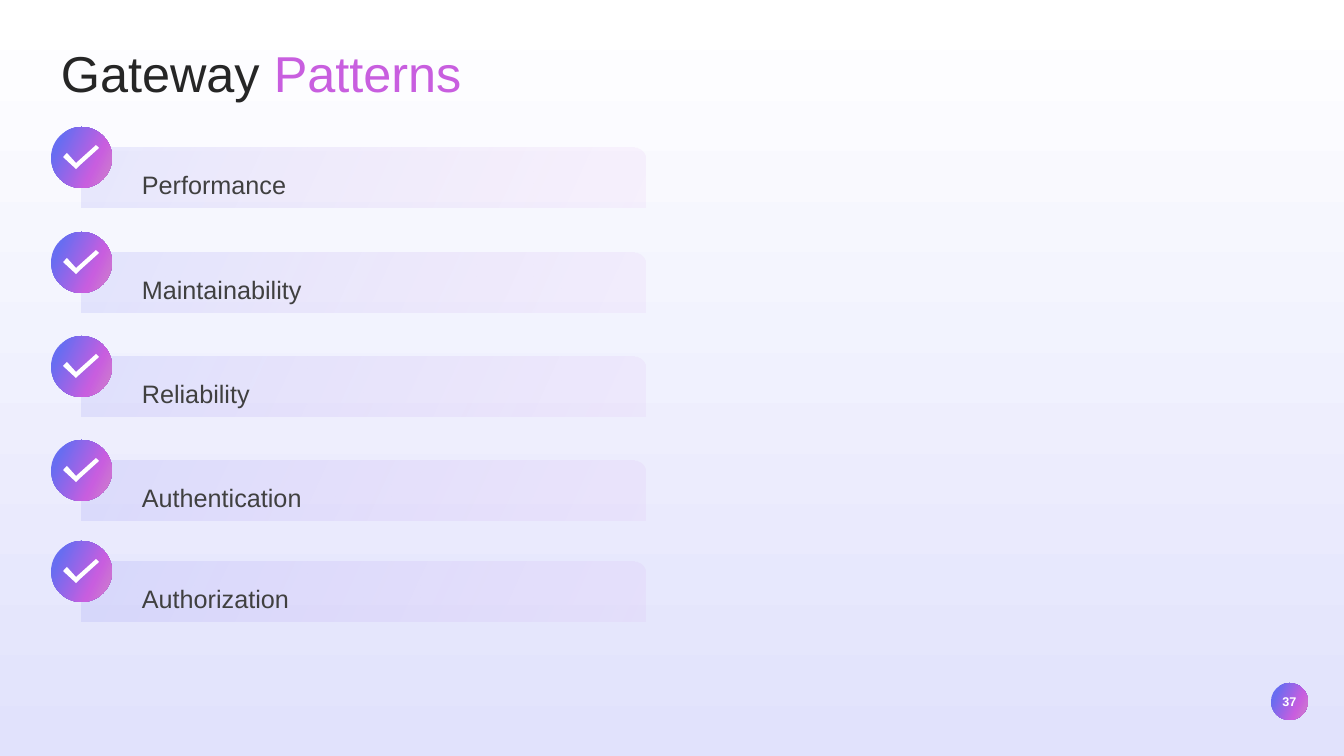
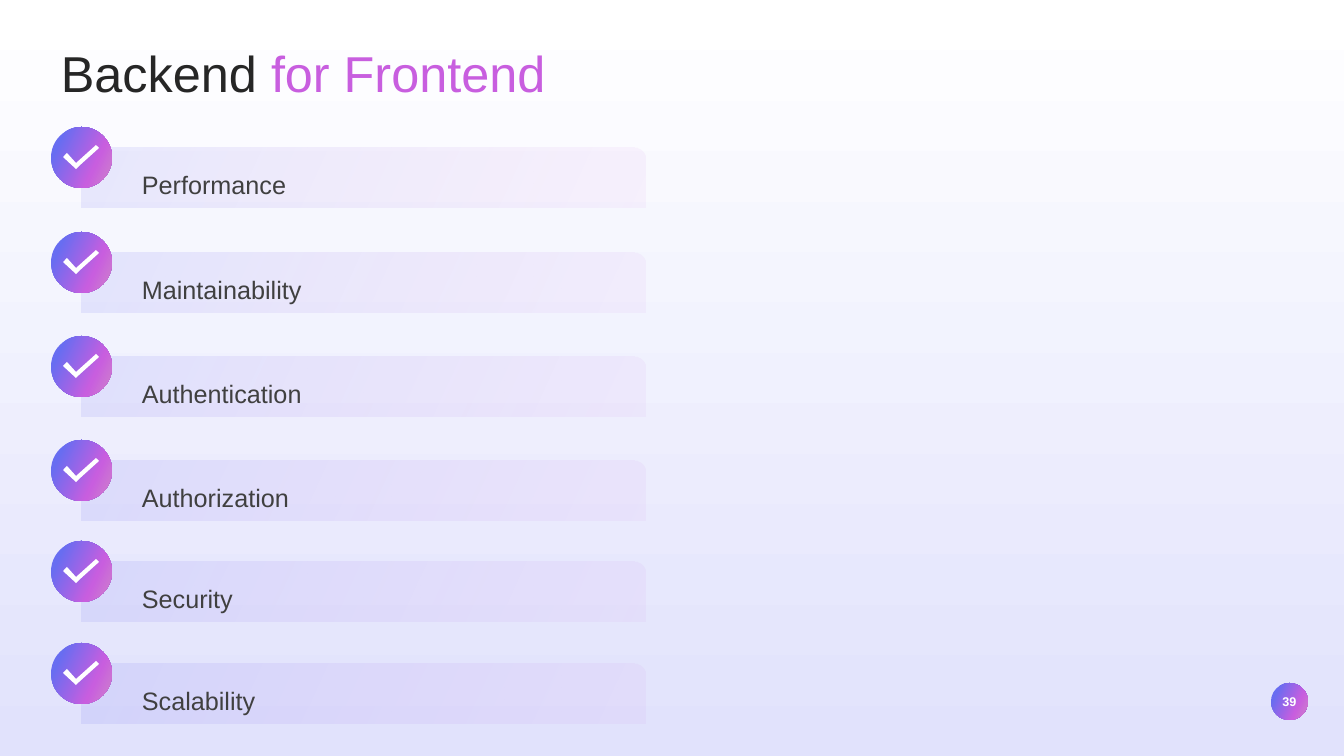
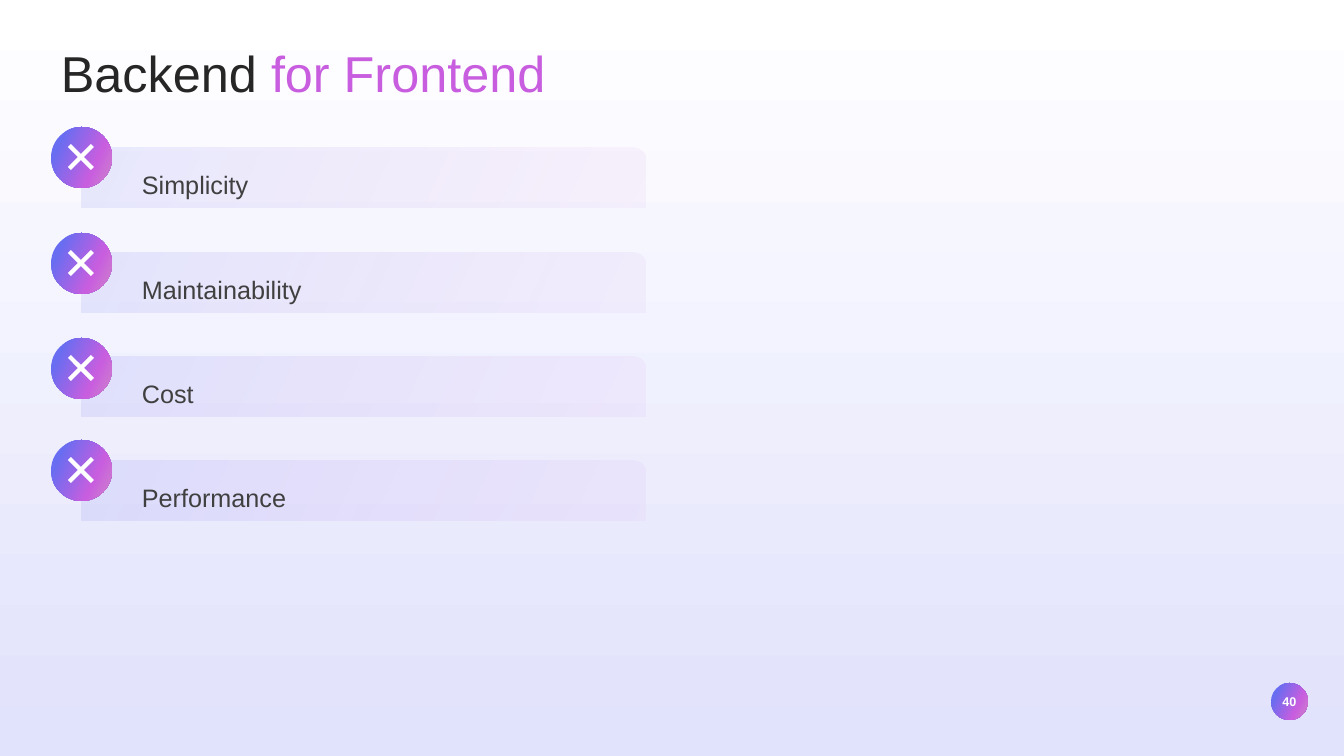
from dataclasses import dataclass

from lxml import etree
from pptx import Presentation
from pptx.dml.color import RGBColor
from pptx.enum.shapes import MSO_SHAPE
from pptx.enum.text import MSO_ANCHOR, PP_ALIGN
from pptx.oxml.ns import qn
from pptx.util import Emu, Pt

PX = 914400 / 100.8
OVAL = MSO_SHAPE.OVAL
TOP_ROUNDED = MSO_SHAPE.ROUND_2_SAME_RECTANGLE
MIDDLE = MSO_ANCHOR.MIDDLE
CENTER = PP_ALIGN.CENTER


@dataclass(frozen=True)
class Theme:
    """Colours, gradients and type sizes shared by all slides."""
    font: str = "Arial"
    title_size: int = 36
    item_size: int = 18
    number_size: int = 9
    title_color: str = "262626"
    item_color: str = "404040"
    white: str = "FFFFFF"
    backdrop: tuple = ((0, "FFFFFF", 100), (100, "E1E2FC", 100))
    badge: tuple = ((17, "686DF1", 100), (69, "C85EDF", 100), (100, "CE84CA", 100))
    accent: tuple = ((17, "1921EA", 100), (69, "C85EDF", 100), (100, "CE84CA", 100))
    bar: tuple = ((0, "686DF1", 13), (100, "C85EDF", 6))
    slant: int = 25
    down: int = 90


THEME = Theme()
PAGE_SIZE = (1344, 756)
TITLE_BOX = (51, 37, 661, 72)
NUMBER_BOX = (1271, 683, 37, 37)
ROW_LEFT, ROW_WIDTH, ROW_HEIGHT = 82, 563, 60
ROW_TOPS = (148, 253, 357, 461, 562, 664)
BADGE_SIZE = 61
CHECK = ((45, 18), (25, 36), (16, 26), (12, 30), (25, 42), (28, 39), (48, 21))
CROSS = ((43, 20), (40, 17), (30, 27), (20, 17), (17, 20), (27, 30),
         (17, 40), (20, 43), (30, 33), (40, 43), (43, 40), (33, 30))

SLIDES = (
    ("37", "Gateway ", "Patterns", CHECK, (0, 0, 0, 0, 0),
     ("Performance", "Maintainability", "Reliability", "Authentication", "Authorization")),
    ("39", "Backend ", "for Frontend", CHECK, (0, 0, 0, 0, 0, 0),
     ("Performance", "Maintainability", "Authentication", "Authorization", "Security",
      "Scalability")),
    ("40", "Backend ", "for Frontend", CROSS, (0, 1, 2, 0),
     ("Simplicity", "Maintainability", "Cost", "Performance")),
)


def emu(*lengths):
    """Turn px lengths into EMU."""
    return [Emu(round(length * PX)) for length in lengths]


def paint(fill, element, stops, angle):
    """Give a fill a linear gradient of (position, colour, opacity) stops."""
    fill.gradient()
    fill.gradient_angle = 360 - angle
    stop_list = element.find(".//" + qn("a:gsLst"))
    for old_stop in list(stop_list):
        stop_list.remove(old_stop)
    for position, color, opacity in stops:
        stop = etree.SubElement(stop_list, qn("a:gs"), pos=str(position * 1000))
        tint = etree.SubElement(stop, qn("a:srgbClr"), val=color)
        if opacity < 100:
            etree.SubElement(tint, qn("a:alpha"), val=str(opacity * 1000))


def add_gradient_shape(shapes, kind, box, stops):
    """Add a borderless preset shape with a slanted gradient."""
    shape = shapes.add_shape(kind, *emu(*box))
    shape.shadow.inherit = False
    shape.line.fill.background()
    paint(shape.fill, shape._element.spPr, stops, THEME.slant)
    return shape


def style(para, size, color, bold=False):
    """Set the font of a whole paragraph."""
    para.font.name = THEME.font
    para.font.size = Pt(size)
    para.font.bold = bold
    para.font.color.rgb = RGBColor.from_string(color)


def add_text(page, box, size, color):
    """Add a wrapping text box and return its styled paragraph."""
    frame = page.shapes.add_textbox(*emu(*box)).text_frame
    frame.word_wrap = True
    para = frame.paragraphs[0]
    style(para, size, color)
    return para


def add_title(page, box, lead, accent):
    """Add a title with a gradient-coloured ending."""
    para = add_text(page, box, THEME.title_size, THEME.title_color)
    para.add_run().text = lead
    span = para.add_run()
    span.text = accent
    paint(span.font.fill, span._r, THEME.accent, THEME.slant)


def add_page_number(page, box, number):
    """Add the round page number."""
    frame = add_gradient_shape(page.shapes, OVAL, box, THEME.badge).text_frame
    frame.margin_left = frame.margin_right = frame.margin_top = frame.margin_bottom = 0
    frame.word_wrap = False
    frame.vertical_anchor = MIDDLE
    para = frame.paragraphs[0]
    para.alignment = CENTER
    style(para, THEME.number_size, THEME.white, bold=True)
    para.add_run().text = number


def add_badge(page, left, top, outline):
    """Add a round badge with a white mark inside."""
    shapes = page.shapes.add_group_shape().shapes
    add_gradient_shape(shapes, OVAL, (left, top, BADGE_SIZE, BADGE_SIZE), THEME.badge)
    points = [(left + x, top + y) for x, y in outline]
    builder = shapes.build_freeform(*points[0], scale=PX)
    builder.add_line_segments(points[1:], close=True)
    mark = builder.convert_to_shape()
    mark.shadow.inherit = False
    mark.line.fill.background()
    mark.fill.solid()
    mark.fill.fore_color.rgb = RGBColor.from_string(THEME.white)


def add_row(page, box, label, outline, nudge):
    """Add one bar with its label and badge."""
    left, top, width, height = box
    bar = add_gradient_shape(page.shapes, TOP_ROUNDED, box, THEME.bar)
    bar.adjustments[0] = 0.19
    para = add_text(page, (left + 50, top + 7, width - 61, height - 13),
                    THEME.item_size, THEME.item_color)
    para.line_spacing = 1.3
    para.space_after = Pt(8)
    para.add_run().text = label
    add_badge(page, left - 31, top - 21 + nudge, outline)


def add_list_page(deck, number, lead, accent, outline, nudges, labels):
    """Add a slide with a title and a column of marked bars."""
    page = deck.slides.add_slide(deck.slide_layouts[6])
    paint(page.background.fill, page._element, THEME.backdrop, THEME.down)
    add_page_number(page, NUMBER_BOX, number)
    add_title(page, TITLE_BOX, lead, accent)
    for top, label, nudge in zip(ROW_TOPS, labels, nudges):
        add_row(page, (ROW_LEFT, top, ROW_WIDTH, ROW_HEIGHT), label, outline, nudge)


def main():
    """Build and save the deck."""
    deck = Presentation()
    deck.slide_width, deck.slide_height = emu(*PAGE_SIZE)
    for content in SLIDES:
        add_list_page(deck, *content)
    deck.save("out.pptx")


if __name__ == "__main__":
    main()
